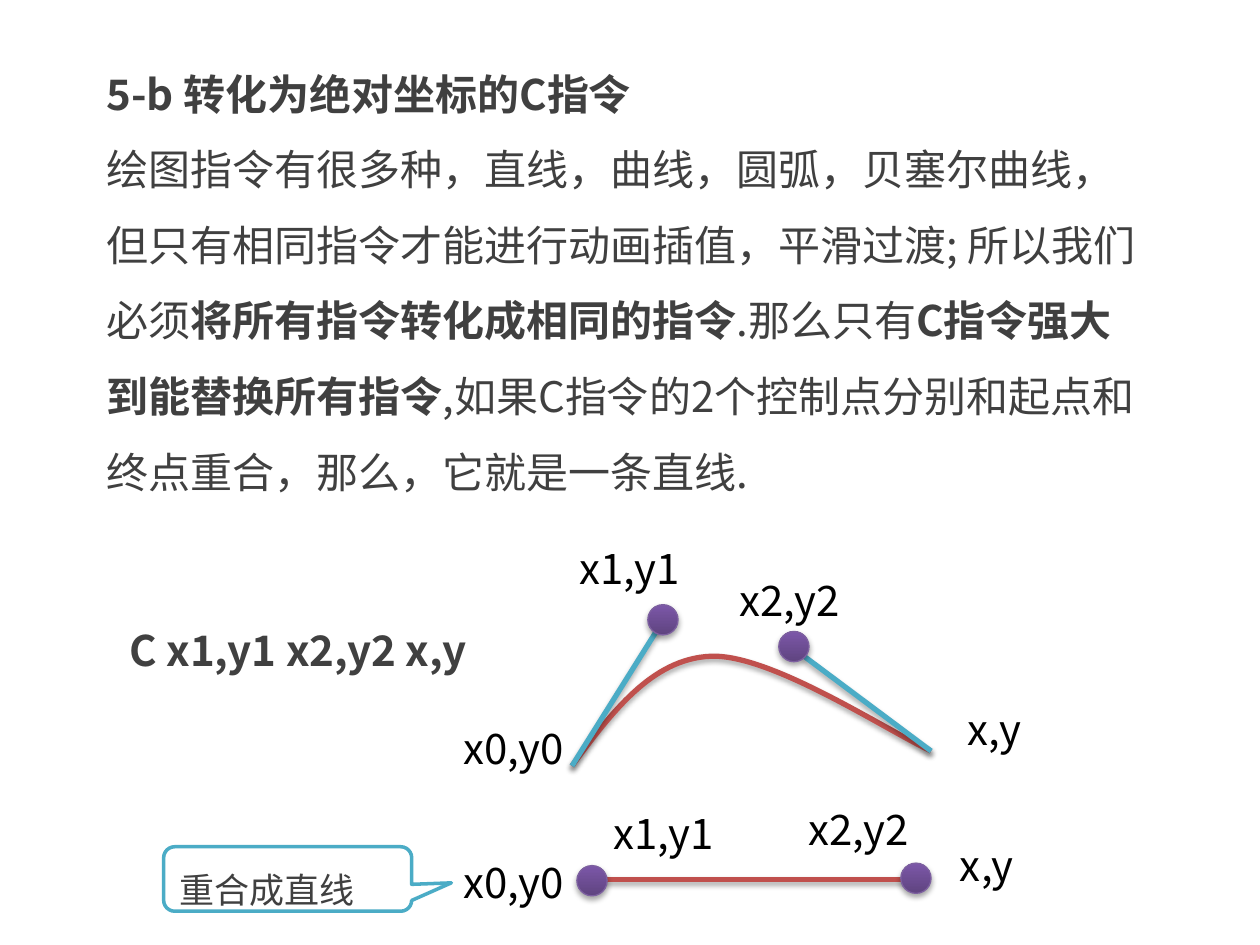
"""Build the slide on turning drawing commands into absolute C commands."""
from lxml import etree
from pptx import Presentation
from pptx.dml.color import RGBColor
from pptx.enum import shapes, text
from pptx.oxml import parse_xml
from pptx.oxml.ns import nsdecls, qn
from pptx.util import Cm, Pt

FONT = "Noto Sans CJK SC"
GREY = RGBColor(0x40, 0x40, 0x40)
BLACK = RGBColor(0, 0, 0)
WHITE = RGBColor(0xFF, 0xFF, 0xFF)
RED = RGBColor(0xC0, 0x50, 0x4D)
TEAL = RGBColor(0x4B, 0xAC, 0xC6)
PURPLE_DARK = RGBColor(0x5F, 0x44, 0x80)
PURPLE_LIGHT = RGBColor(0x7C, 0x57, 0xA8)
PURPLE_LINE = RGBColor(0x7D, 0x60, 0xA0)

BODY = [
    [("5-b 转化为绝对坐标的C指令", True)],
    [
        ("绘图指令有很多种，直线，曲线，圆弧，贝塞尔曲线，但只有相同指令才能进行动画插值，平滑过渡; 所以我们必须", False),
        ("将所有指令转化成相同的指令", True),
        (".那么只有", False),
        ("C指令强大到能替换所有指令", True),
        (",如果C指令的2个控制点分别和起点和终点重合，那么，它就是一条直线.", False),
    ],
]
START, END = (11.53, 15.44), (18.77, 15.14)
CURVE = [(12.32, 14.38), (13.13, 13.28), (14.33, 13.23),
         (15.54, 13.18), (17.88, 14.73), END]
HANDLES = [(START, (13.36, 12.52)), (END, (16.21, 13.23))]
DOTS = [(13.06, 12.19), (15.7, 12.73), (11.63, 17.45), (18.16, 17.4)]
LABELS = [
    ("x1,y1", 11.43, 10.82), ("x2,y2", 14.66, 11.46), ("x,y", 19.25, 14.05),
    ("x2,y2", 16.05, 16.08), ("x,y", 19.1, 16.79), ("x0,y0", 9.09, 14.45),
    ("x0,y0", 9.09, 17.15), ("x1,y1", 12.12, 16.15),
]


def set_font(p, size, color, bold=None):
    """Set the paragraph font for Latin and East Asian text."""
    f = p.font
    f.size, f.bold, f.name = Pt(size), bold, FONT
    f.color.rgb = color
    ea = etree.Element(qn("a:ea"), typeface=FONT)
    p._p.pPr.find(qn("a:defRPr")).find(qn("a:latin")).addnext(ea)


def set_line(sp, color, width):
    """Set line colour and width."""
    sp.line.color.rgb = color
    sp.line.width = Pt(width)


def add_shadow(sp):
    """Give a shape or connector a soft shadow below it."""
    sp._element.spPr.append(parse_xml(
        f'<a:effectLst {nsdecls("a")}>'
        '<a:outerShdw blurRad="40000" dist="23000" dir="5400000" rotWithShape="0">'
        '<a:srgbClr val="000000"><a:alpha val="35000"/></a:srgbClr>'
        '</a:outerShdw></a:effectLst>'))


def add_text(s, paragraphs, x, y, w, h, color, spacing=None):
    """Add a text box from paragraphs of (text, bold) runs."""
    tf = s.shapes.add_textbox(Cm(x), Cm(y), Cm(w), Cm(h)).text_frame
    tf.word_wrap = True
    tf.auto_size = text.MSO_AUTO_SIZE.SHAPE_TO_FIT_TEXT
    for i, runs in enumerate(paragraphs):
        p = tf.add_paragraph() if i else tf.paragraphs[0]
        p.line_spacing = spacing
        set_font(p, 24, color)
        for words, bold in runs:
            r = p.add_run()
            r.text = words
            r.font.bold = bold


def add_line(parent, start, end, color):
    """Add a straight shadowed line."""
    ends = [Cm(v) for v in (*start, *end)]
    cx = parent.shapes.add_connector(shapes.MSO_CONNECTOR.STRAIGHT, *ends)
    set_line(cx, color, 3)
    add_shadow(cx)


def add_curve(parent, start, points, color):
    """Add an open Bézier curve, three points to a segment."""
    builder = parent.shapes.build_freeform(Cm(start[0]), Cm(start[1]))
    builder.add_line_segments([(Cm(x), Cm(y)) for x, y in points], close=False)
    sp = builder.convert_to_shape()
    line_tos = list(sp._element.iter(qn("a:lnTo")))
    for i in range(0, len(line_tos), 3):
        segment = etree.Element(qn("a:cubicBezTo"))
        line_tos[i].addprevious(segment)
        for line_to in line_tos[i:i + 3]:
            segment.append(line_to[0])
            line_to.getparent().remove(line_to)
    sp.fill.background()
    set_line(sp, color, 3)
    add_shadow(sp)


def add_dot(parent, x, y):
    """Add a purple control point."""
    sp = parent.shapes.add_shape(
        shapes.MSO_SHAPE.OVAL, Cm(x), Cm(y), Cm(0.61), Cm(0.61))
    sp.fill.gradient()
    sp.fill.gradient_angle = 90
    for stop, color in zip(sp.fill.gradient_stops, (PURPLE_DARK, PURPLE_LIGHT)):
        stop.color.rgb = color
    set_line(sp, PURPLE_LINE, 0.75)
    add_shadow(sp)


def add_callout(s, words, x, y, w, h):
    """Add a rounded callout pointing right."""
    sp = s.shapes.add_shape(
        shapes.MSO_SHAPE.ROUNDED_RECTANGULAR_CALLOUT, Cm(x), Cm(y), Cm(w), Cm(h))
    for i, value in enumerate((0.66, 0.06, 0.17)):
        sp.adjustments[i] = value
    sp.shadow.inherit = False
    sp.fill.solid()
    sp.fill.fore_color.rgb = WHITE
    set_line(sp, TEAL, 2)
    tf = sp.text_frame
    tf.vertical_anchor = text.MSO_ANCHOR.MIDDLE
    p = tf.paragraphs[0]
    p.alignment = text.PP_ALIGN.LEFT
    p.line_spacing = 1.5
    p.text = words
    set_font(p, 20, GREY)


def main():
    """Build and save the slide."""
    prs = Presentation()
    prs.slide_width, prs.slide_height = Cm(25.4), Cm(19.05)
    s = prs.slides.add_slide(prs.slide_layouts[6])
    add_line(s, (11.91, 17.73), (18.29, 17.73), RED)
    add_text(s, BODY, 1.9, 0.74, 21.59, 9.5, GREY, 1.5)
    diagram = s.shapes.add_group_shape()
    add_curve(diagram, START, CURVE, RED)
    for start, end in HANDLES:
        add_line(diagram, start, end, TEAL)
    for x, y in DOTS:
        add_dot(diagram, x, y)
    for words, x, y in LABELS:
        add_text(s, [[(words, None)]], x, y, 3.45, 1.27, BLACK)
    add_text(s, [[("C x1,y1 x2,y2 x,y", True)]], 2.36, 12.47, 10.19, 1.27, GREY)
    add_callout(s, "重合成直线", 3.3, 17.07, 5, 1.3)
    prs.save("out.pptx")


if __name__ == "__main__":
    main()
